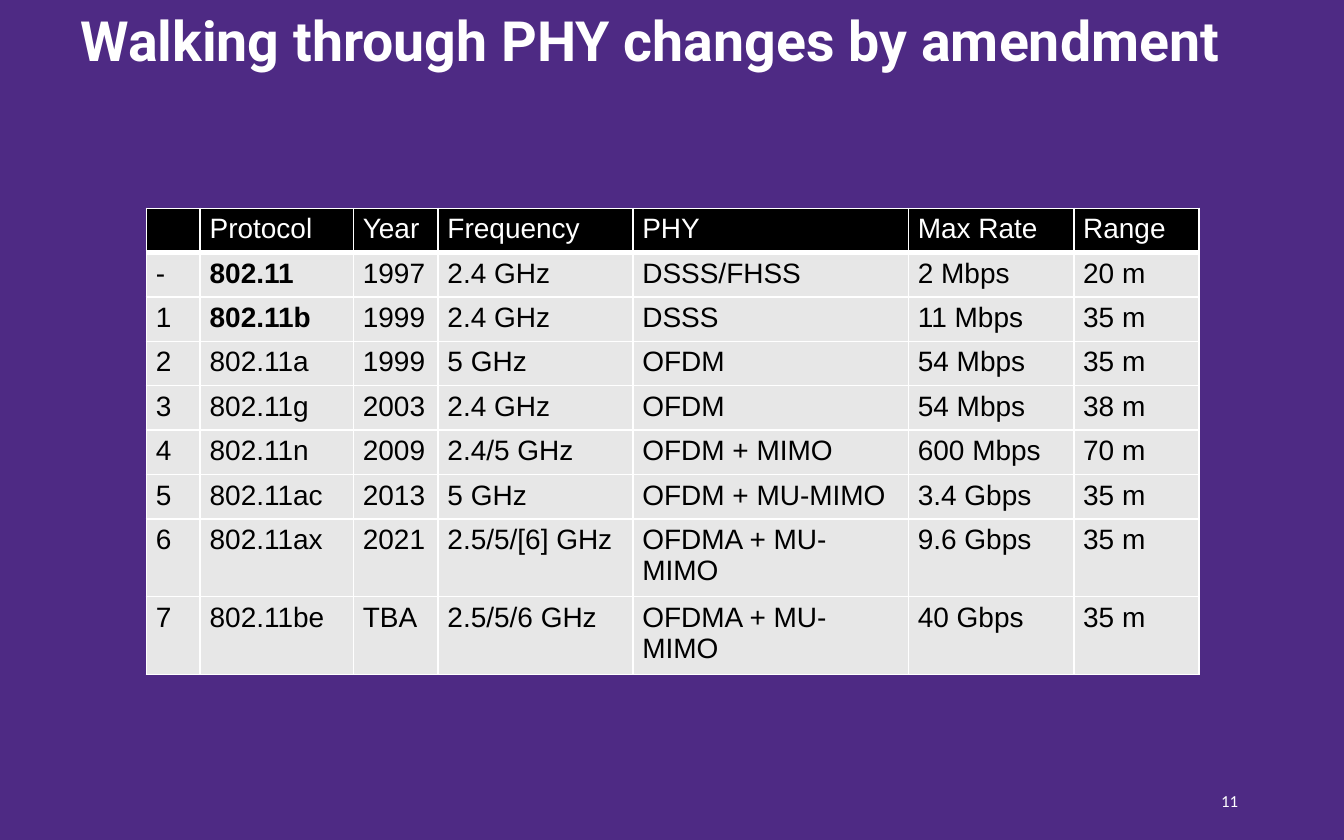
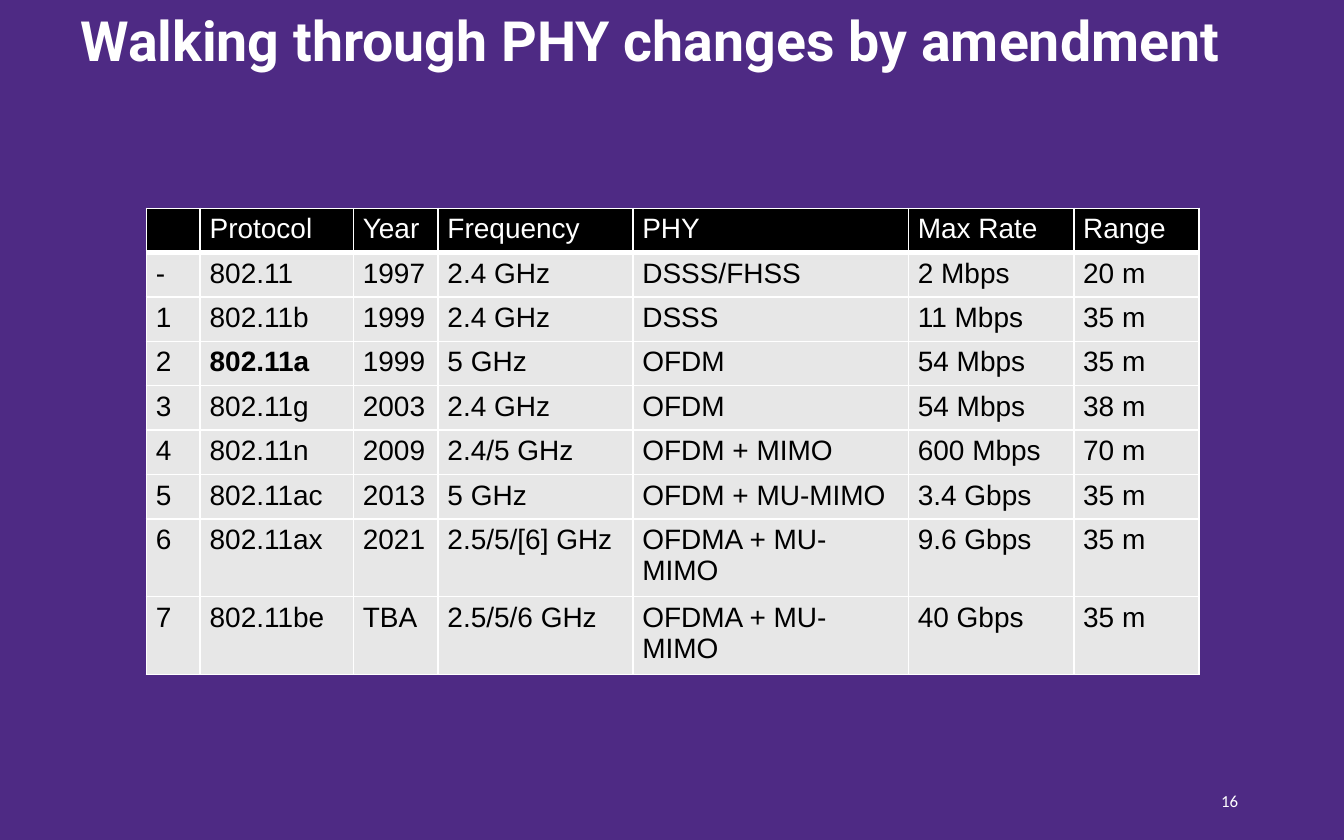
from lxml import etree
from pptx import Presentation
from pptx.dml.color import RGBColor
from pptx.enum import text
from pptx.oxml import ns
from pptx.util import Inches, Pt

PURPLE = RGBColor(0x4E, 0x2A, 0x84)
WHITE = RGBColor(0xFF, 0xFF, 0xFF)
BLACK = RGBColor(0x00, 0x00, 0x00)
GREY = RGBColor(0xE7, 0xE7, 0xE7)

TITLE = "Walking through PHY changes by amendment"
HEADINGS = ["", "Protocol", "Year", "Frequency", "PHY", "Max Rate", "Range"]
PROTOCOLS = [
    ["-", "802.11", "1997", "2.4 GHz", "DSSS/FHSS", "2 Mbps", "20 m"],
    ["1", "802.11b", "1999", "2.4 GHz", "DSSS", "11 Mbps", "35 m"],
    ["2", "802.11a", "1999", "5 GHz", "OFDM", "54 Mbps", "35 m"],
    ["3", "802.11g", "2003", "2.4 GHz", "OFDM", "54 Mbps", "38 m"],
    ["4", "802.11n", "2009", "2.4/5 GHz", "OFDM + MIMO", "600 Mbps", "70 m"],
    ["5", "802.11ac", "2013", "5 GHz", "OFDM + MU-MIMO", "3.4 Gbps", "35 m"],
    ["6", "802.11ax", "2021", "2.5/5/[6] GHz", "OFDMA + MU-MIMO", "9.6 Gbps", "35 m"],
    ["7", "802.11be", "TBA", "2.5/5/6 GHz", "OFDMA + MU-MIMO", "40 Gbps", "35 m"],
]
COLUMN_WIDTHS = [0.4, 1.14, 0.63, 1.45, 2.05, 1.23, 0.93]
ROW_HEIGHTS = [0.33] * 7 + [0.57] * 2


class Deck:
    def __init__(self):
        self.presentation = Presentation()
        self.presentation.slide_width = Inches(10)
        self.presentation.slide_height = Inches(6.25)
        self.page = None

    def add_page(self, number):
        self.page = self.presentation.slides.add_slide(self.presentation.slide_layouts[6])
        background = self.page.background.fill
        background.solid()
        background.fore_color.rgb = PURPLE
        footer = self.add_text(str(number), 7.06, 5.79, 2.25, 0.33, "Calibri", 9)
        footer.alignment = text.PP_ALIGN.RIGHT
        title = self.add_text(TITLE, 0.5, 0.01, 9, 0.62, "Roboto", 29.7, bold=True)
        title.line_spacing = 0.9

    def add_text(self, words, left, top, width, height, face, size, bold=False):
        box = self.page.shapes.add_textbox(
            Inches(left), Inches(top), Inches(width), Inches(height))
        frame = box.text_frame
        frame.word_wrap = True
        frame.vertical_anchor = text.MSO_ANCHOR.MIDDLE
        para = frame.paragraphs[0]
        para.text = words
        self.set_font(para, face, size, WHITE, bold)
        return para

    def set_font(self, para, face, size, colour, bold):
        font = para.font
        font.name = face
        font.size = Pt(size)
        font.bold = bold
        font.color.rgb = colour

    def add_protocol_table(self, highlighted):
        rows = [HEADINGS] + PROTOCOLS
        table = self.page.shapes.add_table(
            len(rows), len(HEADINGS), Inches(1.09), Inches(1.55),
            Inches(sum(COLUMN_WIDTHS)), Inches(sum(ROW_HEIGHTS))).table
        table.horz_banding = False
        for column, width in zip(table.columns, COLUMN_WIDTHS):
            column.width = Inches(width)
        for row, height, values in zip(table.rows, ROW_HEIGHTS, rows):
            row.height = Inches(height)
            for cell, value in zip(row.cells, values):
                self.fill_cell(cell, value, values is HEADINGS, value in highlighted)

    def fill_cell(self, cell, value, is_heading, bold):
        cell.margin_left = cell.margin_right = Inches(0.07)
        cell.margin_top = cell.margin_bottom = Inches(0.04)
        para = cell.text_frame.paragraphs[0]
        if value:
            para.text = value
        self.set_font(para, "Arial", 15, WHITE if is_heading else BLACK, bold)
        for side in "LRTB":
            self.add_border(cell, side, 3 if is_heading and side == "B" else 1)
        cell.fill.solid()
        cell.fill.fore_color.rgb = BLACK if is_heading else GREY

    def add_border(self, cell, side, width):
        properties = cell._tc.get_or_add_tcPr()
        line = etree.SubElement(properties, ns.qn(f"a:ln{side}"), w=str(Pt(width)))
        fill = etree.SubElement(line, ns.qn("a:solidFill"))
        etree.SubElement(fill, ns.qn("a:srgbClr"), val=str(WHITE))


def main():
    deck = Deck()
    for number, highlighted in [(11, ["802.11", "802.11b"]), (16, ["802.11a"])]:
        deck.add_page(number)
        deck.add_protocol_table(highlighted)
    deck.presentation.save("out.pptx")


if __name__ == "__main__":
    main()
